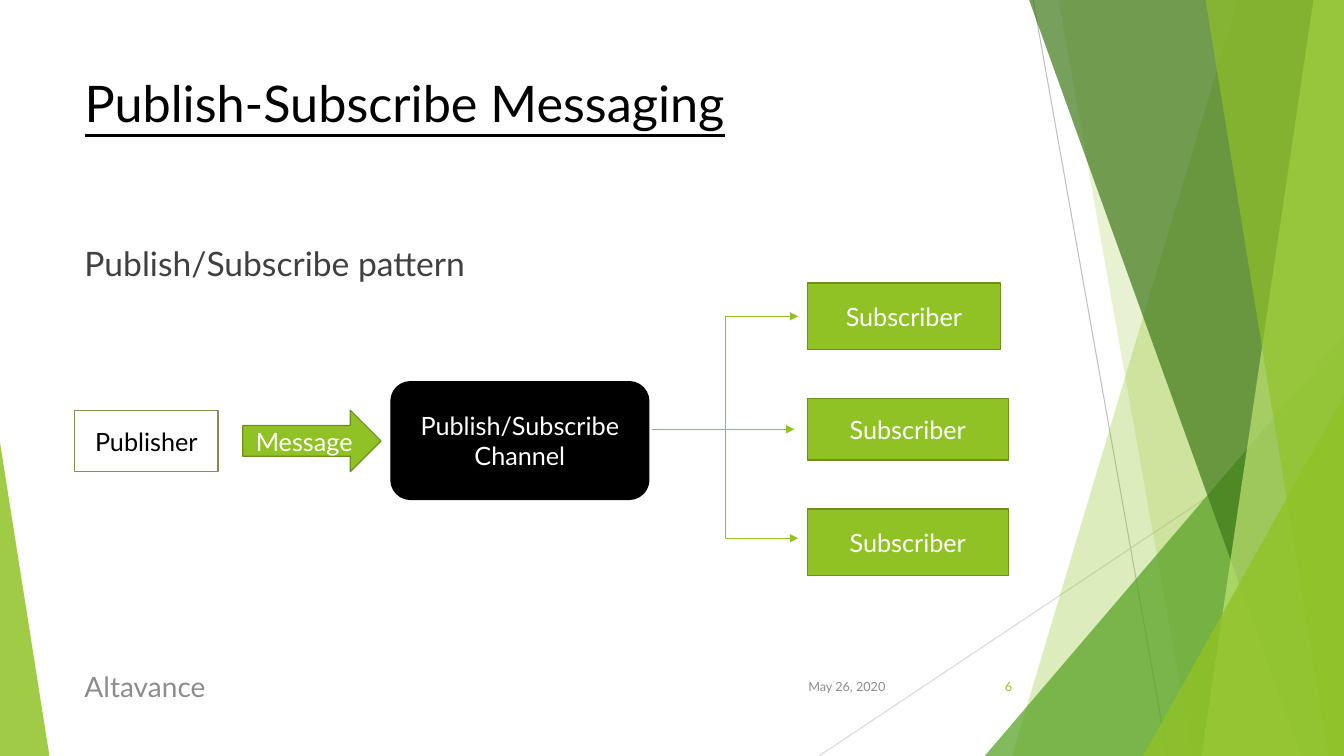
from lxml.etree import SubElement
from pptx import Presentation
from pptx.dml.color import RGBColor
from pptx.enum.shapes import MSO_CONNECTOR, MSO_SHAPE
from pptx.enum.text import MSO_ANCHOR, PP_ALIGN
from pptx.oxml.ns import qn
from pptx.util import Pt


class Theme:
    font = "Lato"
    white = RGBColor.from_string("FFFFFF")
    black = RGBColor.from_string("000000")
    body = RGBColor.from_string("404040")
    muted = RGBColor.from_string("8C8C8C")
    green = RGBColor.from_string("90C226")
    green_edge = RGBColor.from_string("6B901C")
    mid_green = RGBColor.from_string("54A021")
    dark_green = RGBColor.from_string("3F7819")
    pale_green = RGBColor.from_string("C0E474")
    olive = RGBColor.from_string("918655")
    gray = RGBColor.from_string("BFBFBF")
    light_gray = RGBColor.from_string("D9D9D9")
    title_size = 36
    body_size = 24
    footer_size = 20
    label_size = 18
    small_size = 9


def write(sp, text, size, color, align=PP_ALIGN.LEFT, anchor=MSO_ANCHOR.MIDDLE):
    tf = sp.text_frame
    tf.word_wrap = True
    tf.vertical_anchor = anchor
    p = tf.paragraphs[0]
    p.text = text
    p.alignment = align
    r = p.runs[0]
    r.font.name = Theme.font
    r.font.size = Pt(size)
    r.font.color.rgb = color
    return r


def connect(kind, start, end, color, arrow=False):
    line = s.shapes.add_connector(kind, *map(Pt, start + end))
    line.line.color.rgb = color
    line.line.width = Pt(0.75)
    if arrow:
        SubElement(line.line._get_or_add_ln(), qn("a:tailEnd"), type="triangle")
    SubElement(line._element.spPr, qn("a:effectLst"))


prs = Presentation()
prs.slide_width, prs.slide_height = Pt(960), Pt(540)
s = prs.slides.add_slide(prs.slide_layouts[6])

connect(MSO_CONNECTOR.STRAIGHT, (738, 0), (834, 540), Theme.gray)
connect(MSO_CONNECTOR.STRAIGHT, (960, 290), (585, 540), Theme.light_gray)

facets = [
    ("band", (884.2, 722.9), Theme.green, 30),
    ("band", (756, 851.8), Theme.green, 20),
    ("right triangle", (703.4, 239.8, 256.6, 300.2), Theme.mid_green, 72),
    ("band", (735.1, 929.5), Theme.dark_green, 70),
    ("band", (938.2, 858.2), Theme.pale_green, 70),
    ("band", (861.1, 949), Theme.green, 65),
    ("right triangle", (816.5, 283, 143.5, 257), Theme.green, 80),
    ("left triangle", (0, 316, 35.3, 224), Theme.green, 85),
]
for kind, place, color, opacity in facets:
    if kind == "band":
        top_x, bottom_x = place
        outline = s.shapes.build_freeform(Pt(top_x), 0)
        outline.add_line_segments(
            [(Pt(960), 0), (Pt(960), Pt(540)), (Pt(bottom_x), Pt(540))])
        sp = outline.convert_to_shape()
    else:
        sp = s.shapes.add_shape(MSO_SHAPE.ISOSCELES_TRIANGLE, *map(Pt, place))
        sp.adjustments[0] = 1 if kind == "right triangle" else 0
    sp.shadow.inherit = False
    sp.line.fill.background()
    sp.fill.solid()
    sp.fill.fore_color.rgb = color
    rgb = sp._element.spPr.find(qn("a:solidFill"))[0]
    SubElement(rgb, qn("a:alpha"), val=str(opacity * 1000))

title = s.shapes.add_textbox(Pt(53.3), Pt(48.2), Pt(677), Pt(76.3))
r = write(title, "Publish-Subscribe Messaging", Theme.title_size, Theme.black,
          anchor=MSO_ANCHOR.TOP)
r.font.underline = True
body = s.shapes.add_textbox(Pt(53.3), Pt(170), Pt(703.4), Pt(305.3))
write(body, "Publish/Subscribe pattern", Theme.body_size, Theme.body,
      anchor=MSO_ANCHOR.TOP)

footers = [
    ("May 26, 2020", 567.4, 72, Theme.small_size, Theme.muted, PP_ALIGN.RIGHT),
    ("Altavance", 53.3, 496, Theme.footer_size, Theme.muted, PP_ALIGN.LEFT),
    ("6", 676, 54, Theme.small_size, Theme.green, PP_ALIGN.RIGHT),
]
for text, left, width, size, color, align in footers:
    footer = s.shapes.add_textbox(Pt(left), Pt(476), Pt(width), Pt(28.8))
    write(footer, text, size, color, align)

rect = MSO_SHAPE.RECTANGLE
green_box = (Theme.green, Theme.green_edge, Theme.white)
nodes = [
    ("Publisher", rect, (53.3, 293, 102.5, 44),
     (Theme.white, Theme.olive, Theme.black)),
    ("Subscriber", rect, (576.7, 202.2, 138, 47.5), green_box),
    ("Subscriber", rect, (576.7, 284.6, 143.5, 44), green_box),
    ("Subscriber", rect, (576.7, 363.6, 143.5, 47.5), green_box),
    ("Publish/Subscribe Channel", MSO_SHAPE.ROUNDED_RECTANGLE,
     (279.2, 272.6, 184.3, 84.2), (Theme.black, Theme.black, Theme.white)),
    ("Message", MSO_SHAPE.RIGHT_ARROW, (173.4, 293, 98.8, 44), green_box),
]
for text, preset, place, (fill, edge, color) in nodes:
    sp = s.shapes.add_shape(preset, *map(Pt, place))
    sp.shadow.inherit = False
    sp.fill.solid()
    sp.fill.fore_color.rgb = fill
    sp.line.color.rgb = edge
    sp.line.width = Pt(0.85)
    write(sp, text, Theme.label_size, color, PP_ALIGN.CENTER)

fork_x, upper_y, middle_y, lower_y = 518.1, 226, 306.6, 384.5
branches = [
    (MSO_CONNECTOR.ELBOW, (466, middle_y), (570.2, lower_y), True),
    (MSO_CONNECTOR.STRAIGHT, (fork_x, middle_y), (567.4, middle_y), True),
    (MSO_CONNECTOR.STRAIGHT, (fork_x, upper_y), (fork_x, middle_y), False),
    (MSO_CONNECTOR.STRAIGHT, (fork_x, upper_y), (570.2, upper_y), True),
]
for kind, start, end, arrow in branches:
    connect(kind, start, end, Theme.green, arrow)

prs.save("out.pptx")
